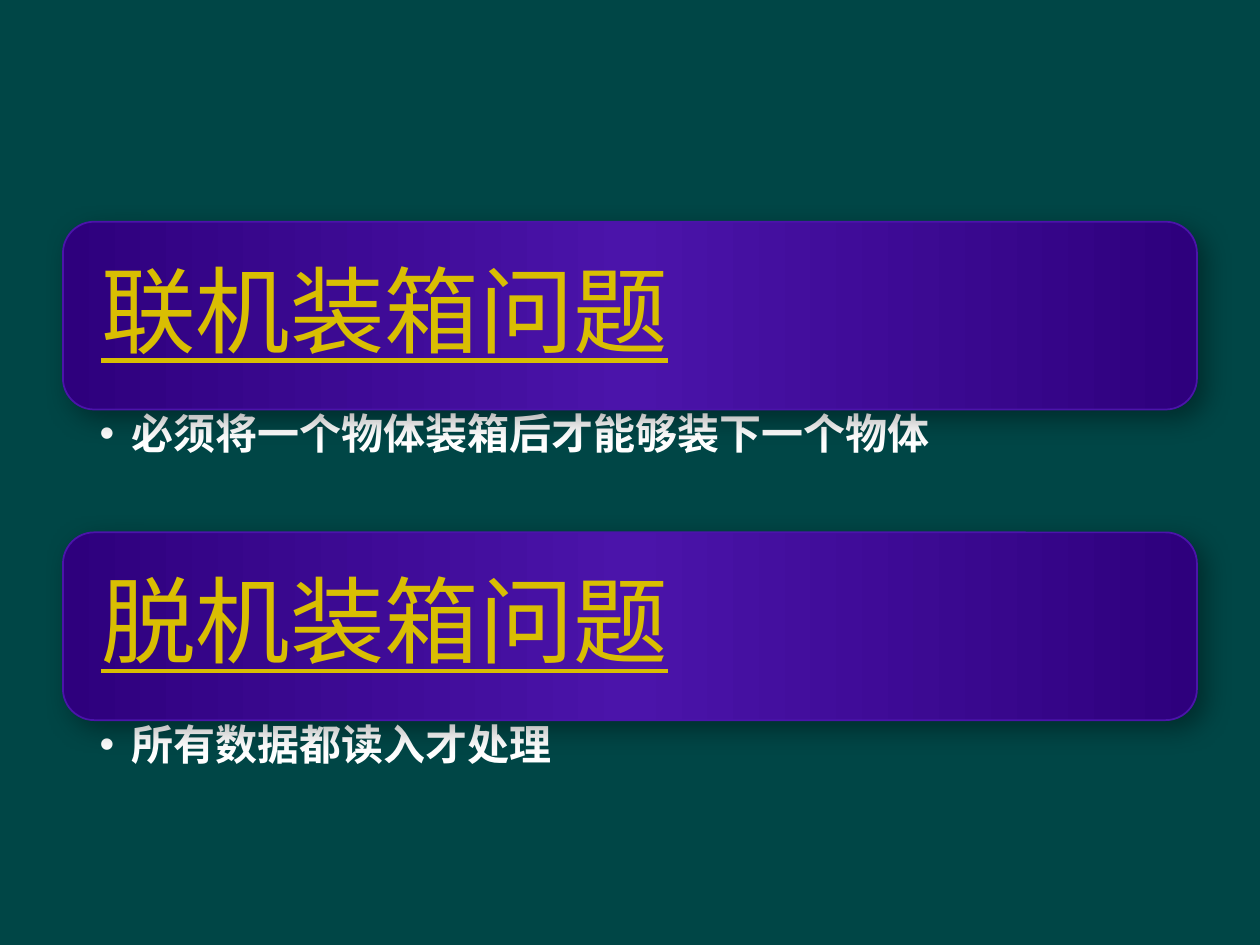
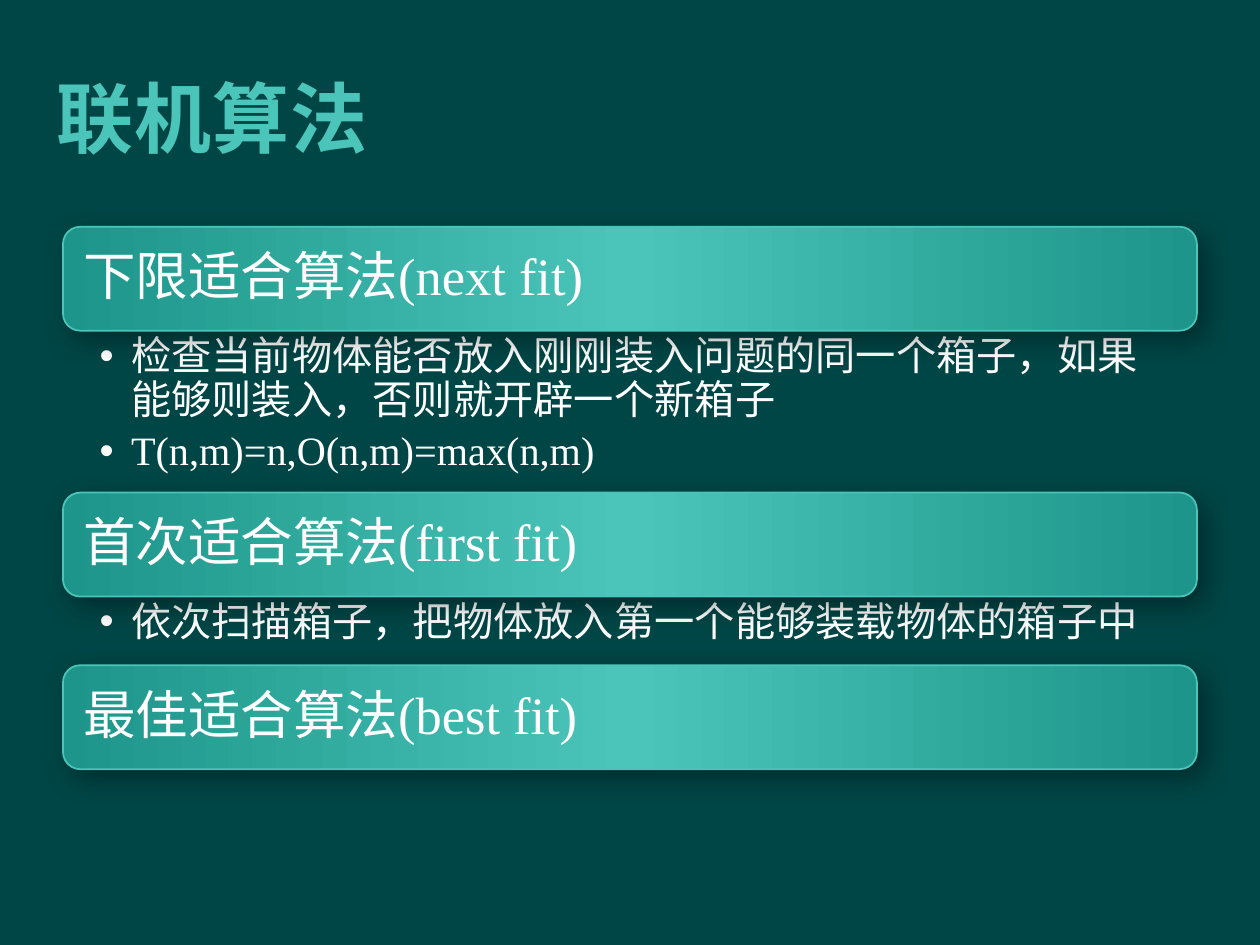
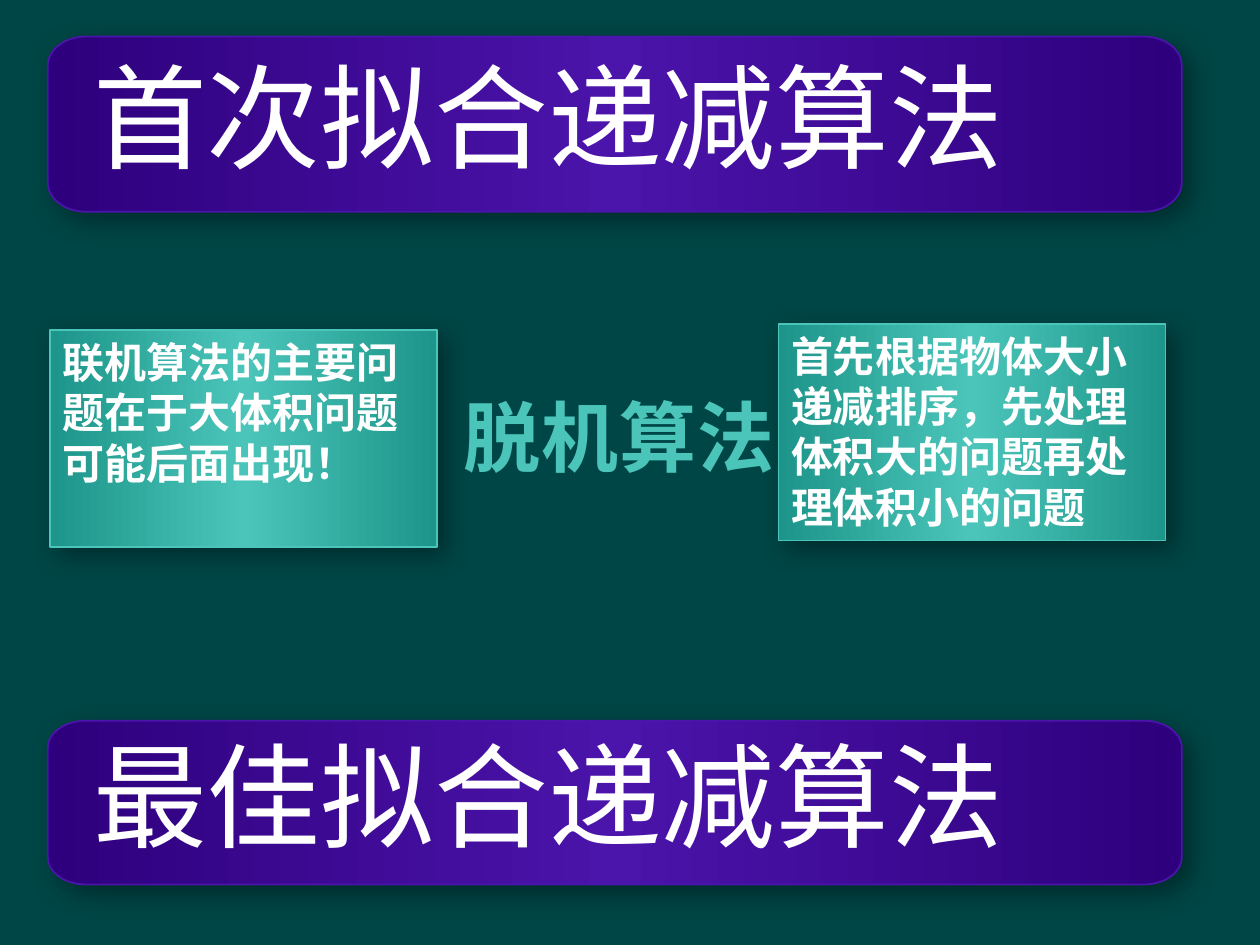
from math import cos, radians, sin

from lxml.etree import SubElement
from pptx import Presentation
from pptx.dml.color import RGBColor
from pptx.enum.shapes import MSO_SHAPE
from pptx.enum.text import MSO_ANCHOR, MSO_AUTO_SIZE, PP_ALIGN
from pptx.oxml.ns import qn
from pptx.util import Inches, Pt

RECTANGLE, ROUNDED = MSO_SHAPE.RECTANGLE, MSO_SHAPE.ROUNDED_RECTANGLE
TOP, MIDDLE = MSO_ANCHOR.TOP, MSO_ANCHOR.MIDDLE
LEFT, NO_FIT = PP_ALIGN.LEFT, MSO_AUTO_SIZE.NONE
TWO_LISTS, TITLE_ONLY = 3, 5
COLUMNS, ROWS = 100, 75

COLORS = {
    "ground": "004646",
    "violet": "4B14AA", "violet_edge": "2E007D",
    "teal": "4BC5B9", "teal_edge": "1D958A",
    "gold": "D9BE02", "white": "FFFFFF", "shadow": "000000",
}

# Margins run left, top, right, bottom in inches; "after" is a share of the text size.
FORMATS = {
    "title": {"size": 44, "color": "teal", "name": "Roboto", "bold": True, "tracking": 50},
    "problem": {"size": 54, "color": "gold", "underline": True,
                "margins": [0.23] * 4, "spacing": 0.9, "after": 0.35},
    "method": {"size": 30, "margins": [0.12] * 4, "spacing": 0.9, "after": 0.35},
    "banner": {"size": 65, "margins": [0.36] * 4, "spacing": 0.9, "after": 0.35},
    "problem_list": {"size": 24, "bold": True, "anchor": TOP, "bullet": "•",
                     "margins": [0.29, 0.03, 0.19, 0.03], "spacing": 0.9, "after": 0.2},
    "method_list": {"size": 23, "anchor": TOP, "bullet": "•",
                    "margins": [0.29, 0.04, 0.23, 0.04], "spacing": 0.9, "after": 0.2},
    "card": {"size": 24, "bold": True, "anchor": TOP},
}
DEFAULTS = {
    "color": "white", "name": "Times New Roman", "bold": False, "underline": False,
    "anchor": MIDDLE, "margins": [0.1, 0.05, 0.1, 0.05], "spacing": 1.0, "after": 0,
    "bullet": None, "tracking": 0,
}


def set_all(target, values):
    for name, value in values.items():
        setattr(target, name, value)


def add_color(parent, color, alpha=None):
    node = SubElement(parent, qn("a:srgbClr"), val=COLORS[color])
    if alpha is not None:
        SubElement(node, qn("a:alpha"), val=str(alpha * 1000))


class SlideBuilder:
    def __init__(self):
        self.deck = Presentation()
        self.deck.slide_width, self.deck.slide_height = Inches(10), Inches(7.5)
        ground = self.deck.slide_master.background.fill
        ground.solid()
        ground.fore_color.rgb = RGBColor.from_string(COLORS["ground"])
        self.page = None

    def start(self, layout):
        self.page = self.deck.slides.add_slide(self.deck.slide_layouts[layout])

    def place(self, left, top, width, height):
        """Turn columns and rows into slide lengths."""
        column = self.deck.slide_width / COLUMNS
        row = self.deck.slide_height / ROWS
        return [round(left * column), round(top * row),
                round(width * column), round(height * row)]

    def set_text(self, shape, lines, format_name):
        style = DEFAULTS | FORMATS[format_name]
        frame = shape.text_frame
        set_all(frame, {"word_wrap": True, "auto_size": NO_FIT,
                        "vertical_anchor": style["anchor"]})
        sides = ("left", "top", "right", "bottom")
        set_all(frame, {f"margin_{side}": Inches(margin)
                        for side, margin in zip(sides, style["margins"])})
        frame.text = "\n".join(lines)
        for para in frame.paragraphs:
            set_all(para, {"alignment": LEFT, "line_spacing": style["spacing"],
                           "space_before": Pt(0),
                           "space_after": Pt(style["size"] * style["after"])})
            if style["bullet"]:
                properties = para._p.get_or_add_pPr()
                properties.set("marL", str(Inches(0.25)))
                properties.set("indent", str(-Inches(0.25)))
                SubElement(properties, qn("a:buChar"), char=style["bullet"])
            for span in para.runs:
                set_all(span.font, {"size": Pt(style["size"])} | {
                    name: style[name] for name in ("name", "bold", "underline")})
                span.font.color.rgb = RGBColor.from_string(COLORS[style["color"]])
                if style["tracking"]:
                    span.font._element.set("spc", str(style["tracking"]))

    def fill_placeholder(self, shape, area, lines, format_name):
        set_all(shape, dict(zip(("left", "top", "width", "height"), self.place(*area))))
        self.set_text(shape, lines, format_name)

    def title(self, area, text):
        self.fill_placeholder(self.page.shapes.title, area, [text], "title")

    def gloss(self, shape, color):
        """Give a shape the edge-to-edge gradient, thin outline and soft shadow."""
        shape.fill.gradient()
        shape.fill.gradient_angle = 0
        properties = shape._element.spPr
        stops = properties.find(".//" + qn("a:gsLst"))
        stops.clear()
        for position, tone in ((0, color + "_edge"), (50, color), (100, color + "_edge")):
            add_color(SubElement(stops, qn("a:gs"), pos=str(position * 1000)), tone)
        shape.line.color.rgb = RGBColor.from_string(COLORS[color])
        shape.line.width = Pt(1)
        shape.shadow.inherit = False
        shadow = SubElement(properties.find(qn("a:effectLst")), qn("a:outerShdw"),
                            blurRad=str(Pt(15)), dist=str(Pt(6.2)), dir=str(45 * 60000),
                            algn="tl", rotWithShape="0")
        add_color(shadow, "shadow", 36)

    def panel(self, kind, area, color, text, format_name):
        shape = self.page.shapes.add_shape(kind, *self.place(*area))
        self.gloss(shape, color)
        self.set_text(shape, [text], format_name)

    def banner(self, area, text):
        """Draw a violet band whose corners are wider than they are high."""
        left, top, width, height = self.place(*area)
        across, down = self.place(0, 0, 3, area[3] / 6)[2:]
        right, bottom = left + width - across, top + height - down
        corners = ((right, bottom), (left + across, bottom),
                   (left + across, top + down), (right, top + down))
        points = [(x + across * cos(radians(angle)), y + down * sin(radians(angle)))
                  for quarter, (x, y) in enumerate(corners)
                  for angle in range(quarter * 90, quarter * 90 + 91, 6)]
        outline = self.page.shapes.build_freeform(*points[0])
        outline.add_line_segments(points[1:], close=True)
        shape = outline.convert_to_shape()
        self.gloss(shape, "violet")
        self.set_text(shape, [text], "banner")

    def stack(self, top, band_height, color, format_name, sections):
        """Pile up bands, each followed by its list: (heading, list height, lines)."""
        lists = iter([box for box in self.page.placeholders
                      if box.placeholder_format.idx])
        for heading, list_height, lines in sections:
            self.panel(ROUNDED, (5, top, 90, band_height), color, heading, format_name)
            top += band_height
            if lines:
                self.fill_placeholder(next(lists), (5, top, 90, list_height), lines,
                                      format_name + "_list")
            top += list_height


def build_problems(builder):
    builder.start(TWO_LISTS)
    heading = builder.page.shapes.title._element
    heading.getparent().remove(heading)
    builder.stack(17.6, 14.9, "violet", "problem", [
        ("联机装箱问题", 9.75, ["必须将一个物体装箱后才能够装下一个物体"]),
        ("脱机装箱问题", 9.75, ["所有数据都读入才处理"]),
    ])


def build_online(builder):
    builder.start(TWO_LISTS)
    builder.title((3.5, 0, 55.4, 18.5), "联机算法")
    builder.stack(18, 8.25, "teal", "method", [
        ("下限适合算法(next fit)", 12.85, [
            "检查当前物体能否放入刚刚装入问题的同一个箱子，如果能够则装入，否则就开辟一个新箱子",
            "T(n,m)=n,O(n,m)=max(n,m)"]),
        ("首次适合算法(first fit)", 5.45, [
            "依次扫描箱子，把物体放入第一个能够装载物体的箱子中"]),
        ("最佳适合算法(best fit)", 0, []),
    ])


def build_offline(builder):
    builder.start(TITLE_ONLY)
    builder.title((35.8, 25.3, 28.3, 18.5), "脱机算法")
    for top, height, text in ((2.9, 13.9, "首次拟合递减算法"),
                              (57.2, 13, "最佳拟合递减算法")):
        builder.banner((3.8, top, 90, height), text)
    for left, top, text in (
            (4, 26.2, "联机算法的主要问题在于大体积问题可能后面出现！"),
            (61.8, 25.7, "首先根据物体大小递减排序，先处理体积大的问题再处理体积小的问题")):
        builder.panel(RECTANGLE, (left, top, 30.7, 17.2), "teal", text, "card")


def main():
    builder = SlideBuilder()
    for build in (build_problems, build_online, build_offline):
        build(builder)
    builder.deck.save("out.pptx")


if __name__ == "__main__":
    main()
